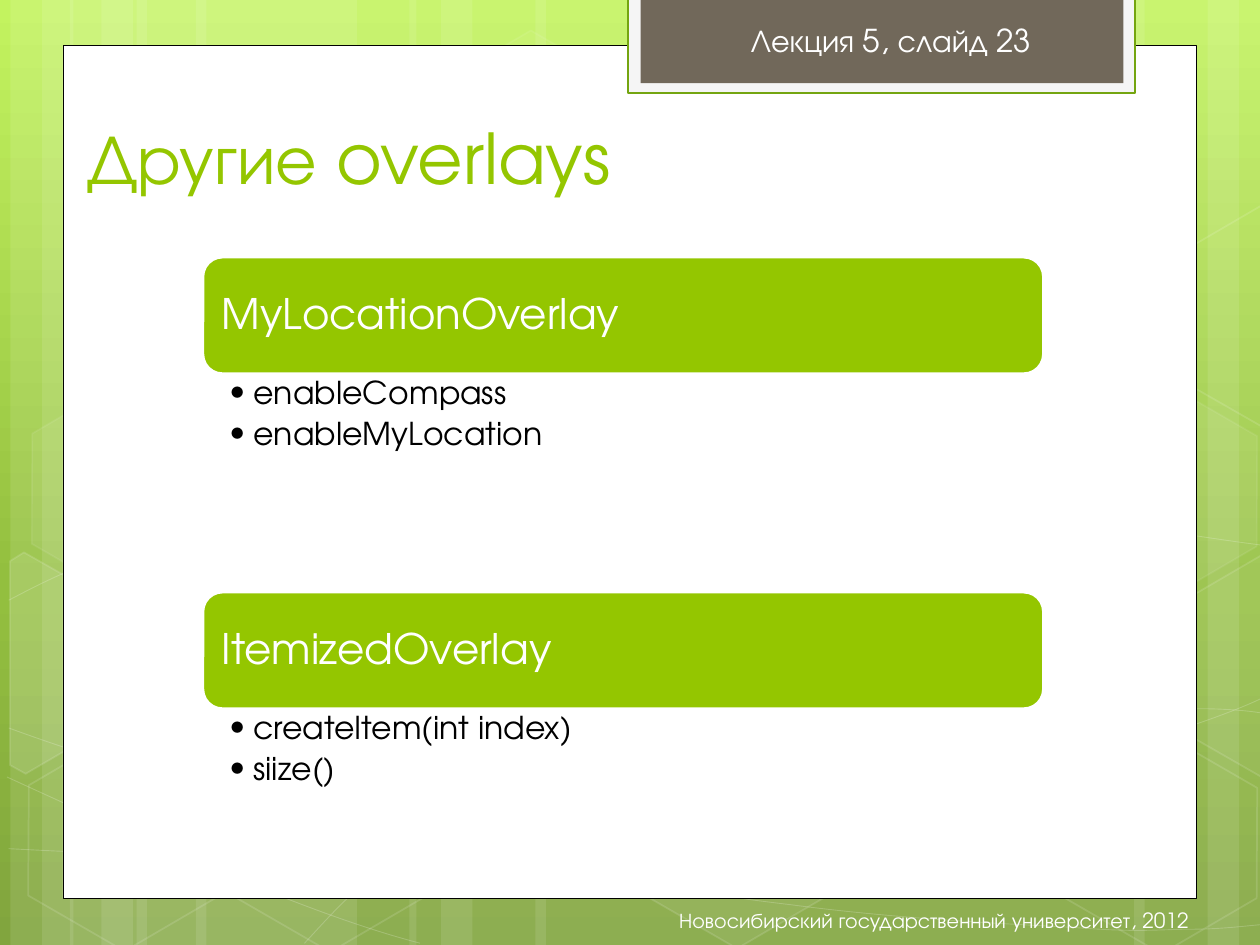
from copy import deepcopy
from math import cos, pi, sin

from lxml.etree import SubElement
from pptx import Presentation
from pptx.dml.color import RGBColor
from pptx.enum.shapes import MSO_SHAPE
from pptx.enum.text import MSO_ANCHOR, PP_ALIGN
from pptx.oxml.ns import qn
from pptx.util import Pt

FONT = "TeX Gyre Adventor"
GREEN = "94C600"
WHITE = "FFFFFF"
TILT = 30

# Left edge, width and rotation of the translucent vertical bands
BANDS = [
    (78, 126, 0), (6, 36, 0), (24, 60, 0), (112, 126, 0), (40, 36, 0),
    (58, 60, 0), (528, 126, 180), (690, 36, 180), (648, 60, 180),
    (306, 222, 0), (234, 36, 0), (252, 60, 0),
]

# Bezier chains: a start point, then three points for each curve
WAVES = [
    [(5, 485), (44, 487), (83, 489), (137, 488), (191, 487), (258, 486),
     (330, 479), (402, 472), (504, 458), (570, 444), (636, 431), (703, 409),
     (725, 397)],
    [(5, 343), (26, 332), (47, 321), (87, 310), (128, 300), (186, 284),
     (250, 279), (314, 274), (392, 273), (471, 279), (550, 284), (682, 307),
     (725, 312)],
    [(4, 444), (91, 484), (178, 523), (240, 539)],
    [(5, 416), (27, 424), (50, 432), (92, 444), (134, 454), (197, 472),
     (257, 485), (317, 497), (392, 510), (452, 517), (512, 525), (576, 528),
     (614, 530), (652, 533), (662, 531), (680, 531), (699, 531), (712, 529),
     (725, 528)],
    [(174, 539), (187, 525), (200, 510), (217, 498), (235, 485), (259, 470),
     (279, 460), (300, 450), (312, 446), (338, 438), (364, 431), (413, 421),
     (438, 416), (464, 411), (467, 411), (490, 410), (512, 408), (547, 405),
     (572, 405), (597, 404), (638, 405), (638, 405), (654, 405), (670, 405),
     (686, 405), (699, 405), (711, 406), (718, 407), (724, 408), (722, 407),
     (724, 408)],
]

# Left, top, fill opacity (None: no fill), line opacity
HEXAGONS = [
    (240.5, 26, 4, 8), (358, 424, 6, 12), (8, 425.5, None, 12),
    (10, 224.5, 7, 8), (125.5, 426, None, 12), (542, 326, 10, 12),
    (600.5, 427, None, 12), (600.5, 226, 7, 8),
]

# Hexagons cut off by the slide edge: centre, points, fill opacity
CUT_HEXAGONS = [
    ((26, 385), [(5.5, 320.5), (13.5, 315.5), (69, 347), (68.5, 410.5),
                 (14.5, 442), (5.5, 437)], 10),
    ((709, 374.5), [(666.5, 349), (720.5, 317.5), (726.5, 321),
                    (726.5, 441.5), (721.5, 444), (666.5, 412.5)], 4),
    ((709, 173.5), [(666.5, 149), (720.5, 117.5), (727, 121), (726.5, 241),
                    (721.5, 244), (666.5, 212.5)], None),
]

# Card heading, top, list and list height
CARDS = [
    ("MyLocationOverlay", 147.1, ["enableCompass", "enableMyLocation"], 125),
    ("ItemizedOverlay", 338.5, ["createItem(int index)", "siize()"], 58),
]


def color(value):
    return RGBColor.from_string(value)


def set_attributes(target, values):
    for name, value in values.items():
        setattr(target, name, value)


def set_opacity(shape, route, percent):
    for element in shape.element.spPr.xpath(route + "/a:srgbClr"):
        SubElement(element, qn("a:alpha"), val=str(percent * 1000))


def style_shape(shape, fill=None, line=None, width=1, fill_opacity=100,
                line_opacity=100):
    shape.shadow.inherit = False
    if fill:
        shape.fill.solid()
        shape.fill.fore_color.rgb = color(fill)
        if fill_opacity < 100:
            set_opacity(shape, "./a:solidFill", fill_opacity)
    else:
        shape.fill.background()
    if line:
        shape.line.color.rgb = color(line)
        shape.line.width = Pt(width)
        if line_opacity < 100:
            set_opacity(shape, "./a:ln/a:solidFill", line_opacity)
    else:
        shape.line.fill.background()


def add_box(slide, kind, box, **style):
    shape = slide.shapes.add_shape(kind, *map(Pt, box))
    style_shape(shape, **style)
    return shape


def add_outline(slide, points, close, **style):
    first, *others = [(Pt(x), Pt(y)) for x, y in points]
    builder = slide.shapes.build_freeform(*first, scale=1.0)
    builder.add_line_segments(others, close=close)
    shape = builder.convert_to_shape()
    style_shape(shape, **style)
    return shape


def bend_segments(shape):
    """Join each three line segments into one Bezier curve."""
    segments = shape.element.findall(".//" + qn("a:lnTo"))
    outline = segments[0].getparent()
    for start in range(0, len(segments), 3):
        curve = SubElement(outline, qn("a:cubicBezTo"))
        for segment in segments[start:start + 3]:
            curve.append(segment[0])
            outline.remove(segment)


def turn_back(points, centre):
    cosine, sine = cos(TILT * pi / 180), sin(TILT * pi / 180)
    offsets = [(x - centre[0], y - centre[1]) for x, y in points]
    return [(centre[0] + x * cosine + y * sine,
             centre[1] - x * sine + y * cosine) for x, y in offsets]


def add_text(slide, box, lines, size, ink, frame_format=None,
             paragraph_format=None, bullet=False):
    frame = slide.shapes.add_textbox(*map(Pt, box)).text_frame
    set_attributes(frame, {"word_wrap": True, **(frame_format or {})})
    for index, line in enumerate(lines):
        paragraph = frame.paragraphs[0] if index == 0 else frame.add_paragraph()
        set_attributes(paragraph, paragraph_format or {})
        if bullet:
            properties = paragraph._p.get_or_add_pPr()
            properties.set("marL", str(Pt(13.5)))
            properties.set("indent", str(-Pt(13.5)))
            SubElement(properties, qn("a:buFont"), typeface=FONT)
            SubElement(properties, qn("a:buChar"), char="•")
        run = paragraph.add_run()
        run.text = line
        set_attributes(run.font, {"name": FONT, "size": Pt(size)})
        run.font.color.rgb = color(ink)


def set_background(slide, stops):
    fill = slide.background.fill
    fill.gradient()
    fill.gradient_angle = 270
    stop_list = slide.element.find(".//" + qn("a:gsLst"))
    stop_list.append(deepcopy(stop_list[0]))
    for stop, (position, value) in zip(fill.gradient_stops, stops):
        stop.position = position
        stop.color.rgb = color(value)


def add_decoration(slide):
    for left, width, rotation in BANDS:
        band = add_box(slide, MSO_SHAPE.RECTANGLE, (left, 0, width, 540),
                       fill=WHITE, fill_opacity=10)
        band.rotation = rotation
    for chain in WAVES:
        bend_segments(add_outline(slide, chain, False, line=WHITE, width=0.5,
                                  line_opacity=20))
    for left, top, opacity, line_opacity in HEXAGONS:
        hexagon = add_box(slide, MSO_SHAPE.HEXAGON, (left, top, 126, 109.5),
                          fill=WHITE if opacity else None, line=WHITE,
                          fill_opacity=opacity, line_opacity=line_opacity)
        hexagon.rotation = TILT
        hexagon.adjustments[0] = 0.285
    for centre, points, opacity in CUT_HEXAGONS:
        hexagon = add_outline(slide, turn_back(points, centre), True,
                              fill=WHITE if opacity else None, line=WHITE,
                              fill_opacity=opacity, line_opacity=12)
        hexagon.rotation = TILT


def add_card(slide, heading, top, items, list_height):
    left, width, height = 116.1, 480, 66.3
    add_box(slide, MSO_SHAPE.ROUNDED_RECTANGLE, (left, top, width, height),
            fill=GREEN, line=WHITE, width=1.25)
    sides = ("margin_left", "margin_top", "margin_right", "margin_bottom")
    add_text(slide, (left + 3.5, top + 3.2, width - 7, height - 6.4),
             [heading], 24, WHITE,
             {"vertical_anchor": MSO_ANCHOR.MIDDLE,
              **dict.fromkeys(sides, Pt(7.2))},
             {"line_spacing": 0.9})
    add_text(slide, (left, top + height, width, list_height), items, 18,
             "000000", dict(zip(sides, map(Pt, (15.2, 2, 10, 2)))),
             {"level": 1, "line_spacing": 0.9, "space_after": Pt(4)},
             bullet=True)


def main():
    presentation = Presentation()
    set_attributes(presentation,
                   {"slide_width": Pt(720), "slide_height": Pt(540)})
    slide = presentation.slides.add_slide(presentation.slide_layouts[6])

    # Background
    set_background(slide, [(0, "C3F35F"), (0.62, "93BF3F"), (1, "81A53E")])
    add_decoration(slide)

    # White page and lecture tab
    add_box(slide, MSO_SHAPE.RECTANGLE, (36, 26, 648, 487.2), fill=WHITE,
            line="000000", width=0.5)
    add_box(slide, MSO_SHAPE.RECTANGLE, (359, -1.5, 289.5, 54.5),
            fill="F5F5F5", line="74A510", width=1.25)
    add_box(slide, MSO_SHAPE.RECTANGLE, (366, -1.5, 276, 49), fill="71685A")

    # Title, lecture number and footer
    add_text(slide, (42.7, 60.1, 618, 57), ["Другие overlays"], 40, GREEN,
             {"vertical_anchor": MSO_ANCHOR.BOTTOM})
    add_text(slide, (422, 8.5, 186.5, 29), ["Лекция 5, слайд 23"], 18, WHITE,
             {"word_wrap": False})
    add_text(slide, (223.6, 511, 463, 29),
             ["Новосибирский государственный университет, 2012"], 12, WHITE,
             {"vertical_anchor": MSO_ANCHOR.MIDDLE},
             {"alignment": PP_ALIGN.RIGHT})

    # Overlay cards
    for card in CARDS:
        add_card(slide, *card)

    presentation.save("out.pptx")


if __name__ == "__main__":
    main()
